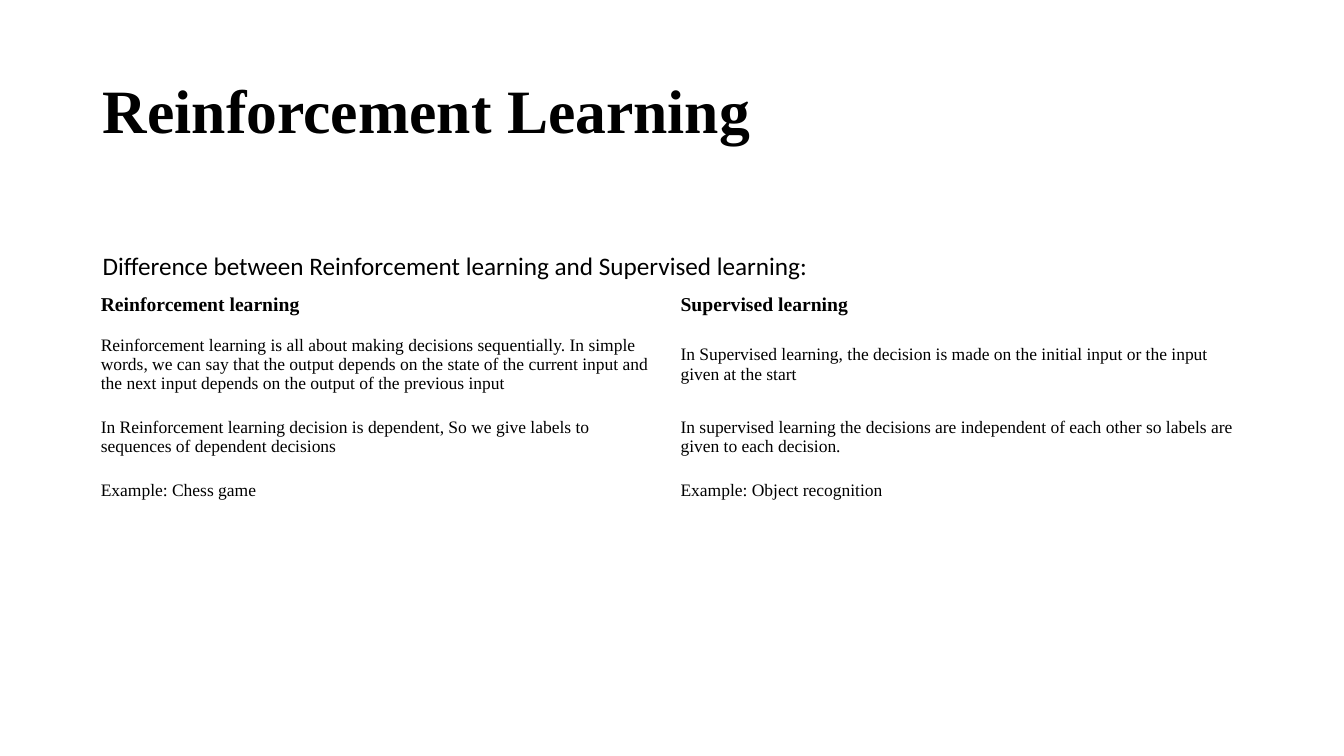
from pptx import Presentation, util as u
from pptx.dml.color import RGBColor
from pptx.enum import text

HEADING = "Reinforcement Learning"
INTRO = "Difference between Reinforcement learning and Supervised learning:\u00a0"
COMPARISON = [
    ("Reinforcement learning", "Supervised learning"),
    ("Reinforcement learning is all about making decisions sequentially. In simple words, "
     "we can say that the output depends on the state of the current input and the next "
     "input depends on the output of the previous input",
     "In Supervised learning, the decision is made on the initial input or the input "
     "given at the start"),
    ("In Reinforcement learning decision is dependent, So we give labels to sequences of "
     "dependent decisions",
     "In supervised learning the decisions are independent of each other so labels are "
     "given to each decision."),
    ("Example: Chess game", "Example: Object recognition"),
]
ROW_HEIGHTS = [0.38, 0.81, 0.62, 0.43]
SERIF, SANS, BLACK = "Times New Roman", "Calibri", "000000"
LEFT, WIDTH = 0.92, 11.5
INTRO_TOP, INTRO_HEIGHT = 2.43, 0.4


def box(*lengths):
    return [u.Inches(length) for length in lengths]


def write(frame, words, size, font, bold=False):
    frame.text = words
    for paragraph in frame.paragraphs:
        paragraph.alignment = text.PP_ALIGN.LEFT
        for run in paragraph.runs:
            run.font.size = u.Pt(size)
            run.font.name = font
            run.font.bold = bold
            run.font.color.rgb = RGBColor.from_string(BLACK)


deck = Presentation()
deck.slide_width, deck.slide_height = box(13.33, 7.5)
slide = deck.slides.add_slide(deck.slide_layouts[5])

heading = slide.shapes.title
heading.left, heading.top, heading.width, heading.height = box(LEFT, 0.4, WIDTH, 1.45)
write(heading.text_frame, HEADING, 44, SERIF, True)
heading.text_frame.vertical_anchor = text.MSO_ANCHOR.MIDDLE
heading.text_frame.paragraphs[0].line_spacing = 0.9

comparison = slide.shapes.add_table(
    len(COMPARISON), len(COMPARISON[0]),
    *box(LEFT, INTRO_TOP + INTRO_HEIGHT, WIDTH, sum(ROW_HEIGHTS))).table
comparison.first_row = comparison.horz_banding = False
for r, (entries, height) in enumerate(zip(COMPARISON, ROW_HEIGHTS)):
    comparison.rows[r].height = u.Inches(height)
    is_header = r == 0
    for c, words in enumerate(entries):
        cell = comparison.cell(r, c)
        cell.fill.background()
        cell.vertical_anchor = text.MSO_ANCHOR.MIDDLE
        cell.margin_left = cell.margin_right = u.Inches(0.08)
        cell.margin_top = cell.margin_bottom = u.Inches(0.08 if is_header else 0.12)
        write(cell.text_frame, words, 14 if is_header else 12.5, SERIF, is_header)

intro = slide.shapes.add_textbox(*box(LEFT, INTRO_TOP, 9.51, INTRO_HEIGHT)).text_frame
intro.word_wrap = True
intro.auto_size = text.MSO_AUTO_SIZE.SHAPE_TO_FIT_TEXT
write(intro, INTRO, 18, SANS)

deck.save("out.pptx")
